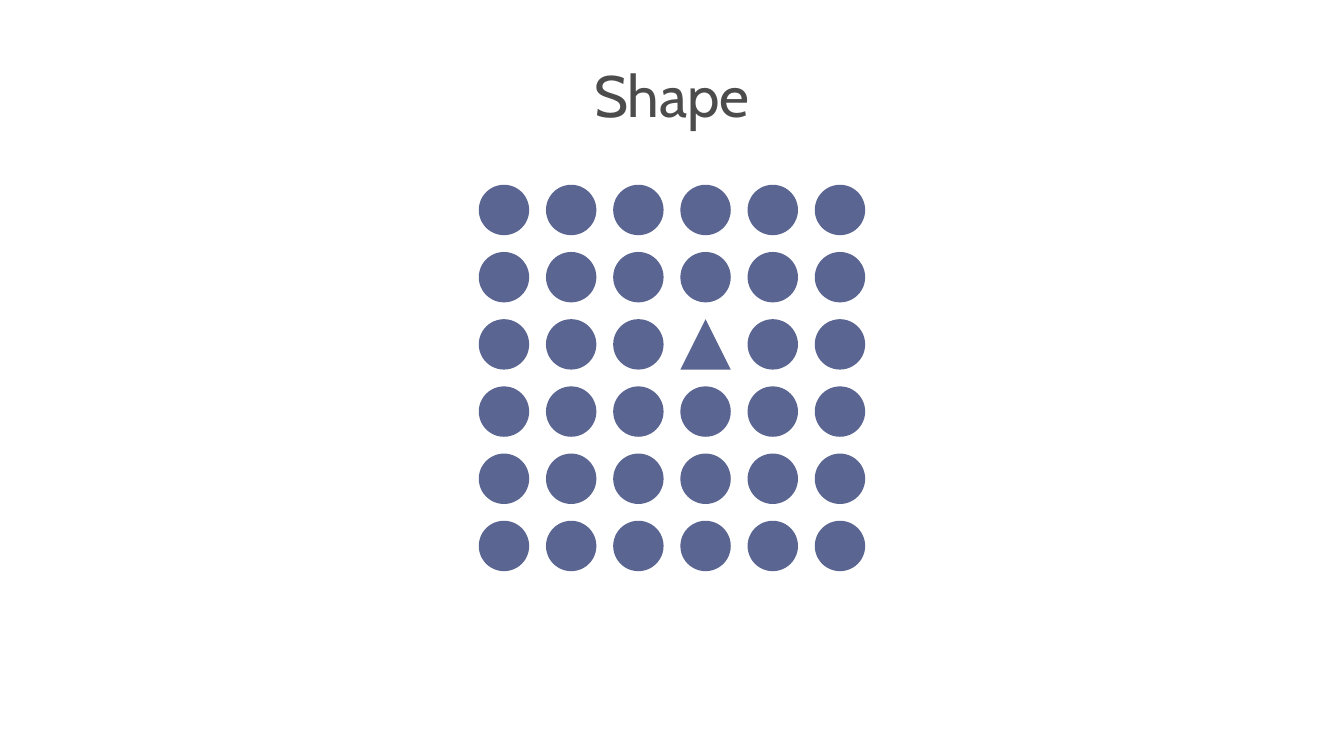
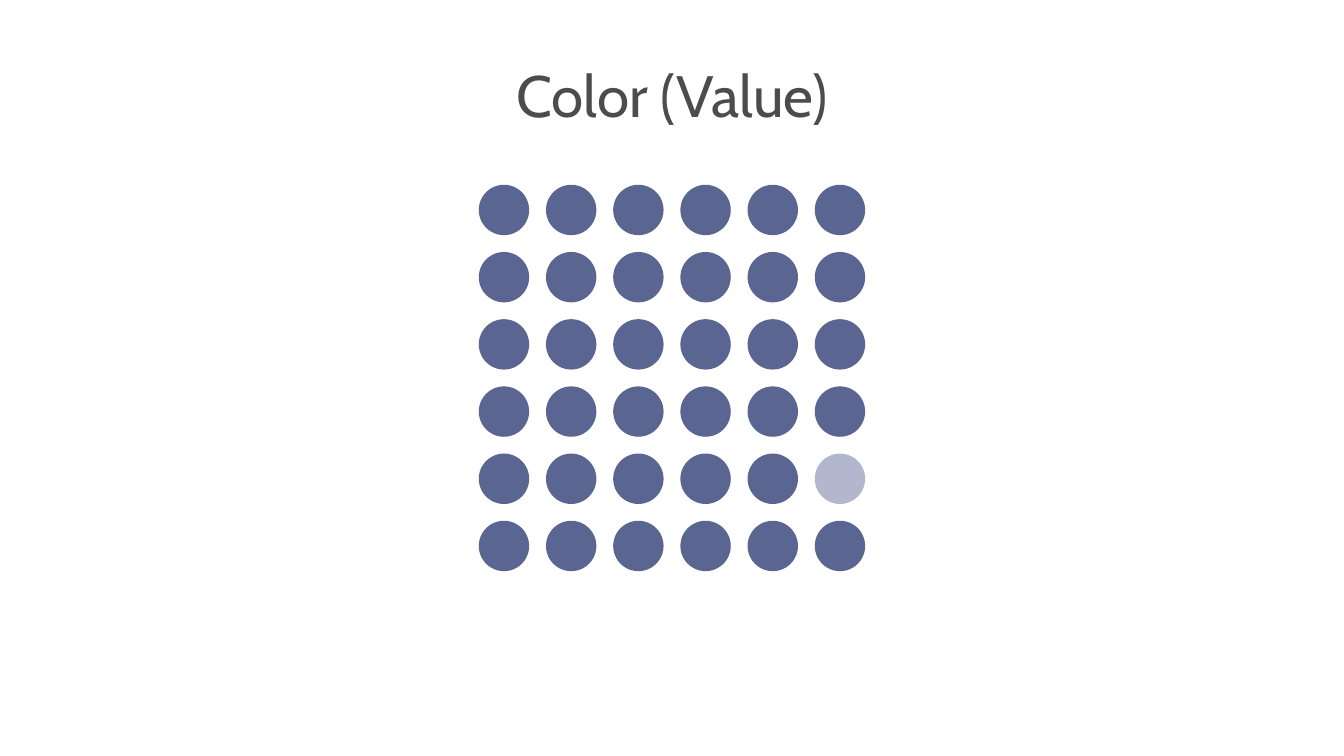
from dataclasses import dataclass
from itertools import product

from pptx import Presentation
from pptx.dml.color import RGBColor as Rgb
from pptx.enum.shapes import MSO_SHAPE as Kind
from pptx.enum.text import MSO_ANCHOR as Anchor, MSO_AUTO_SIZE as Fit, PP_ALIGN as Align
from pptx.util import Inches, Pt


@dataclass(frozen=True)
class Theme:
    """Colours, font and sizes shared by the slides."""
    paper: str = "FFFFFF"
    ink: str = "4C4C4C"
    mark: str = "5B6591"
    pale: str = "B2B7CE"
    font: str = "Cabin"
    title: int = 50
    lead: float = 0.8


LOOK = Theme()
WIDE, HIGH = 16, 9
HEAD = (0, 0.87, WIDE, 0.67)
FIELD = (5.7, 2.2, 4.6, 4.6)
COUNT, GAP = 6, 0.2
SLIDES = [
    ("Shape", (2, 3), Kind.ISOSCELES_TRIANGLE, LOOK.mark),
    ("Color (Value)", (4, 5), Kind.OVAL, LOOK.pale),
]


def add_title(slide, box, text):
    """Place and format the title in its box."""
    title = slide.shapes.title
    title.left, title.top, title.width, title.height = map(Inches, box)
    frame = title.text_frame
    frame.margin_left = frame.margin_right = frame.margin_top = frame.margin_bottom = 0
    frame.word_wrap = True
    frame.auto_size = Fit.SHAPE_TO_FIT_TEXT
    frame.vertical_anchor = Anchor.TOP
    para = frame.paragraphs[0]
    para.alignment = Align.CENTER
    para.line_spacing = LOOK.lead
    run = para.add_run()
    run.text = text
    run.font.name = LOOK.font
    run.font.size = Pt(LOOK.title)
    run.font.color.rgb = Rgb.from_string(LOOK.ink)


def add_field(slide, box, odd, kind, tint):
    """Fill the box with a square grid of dots and one odd mark."""
    left, top, width, height = box
    step_x, step_y = (width + GAP) / COUNT, (height + GAP) / COUNT
    for row, col in product(range(COUNT), repeat=2):
        is_odd = (row, col) == odd
        spot = (left + col * step_x, top + row * step_y, step_x - GAP, step_y - GAP)
        mark = slide.shapes.add_shape(kind if is_odd else Kind.OVAL, *map(Inches, spot))
        mark.shadow.inherit = False
        mark.fill.solid()
        mark.fill.fore_color.rgb = Rgb.from_string(tint if is_odd else LOOK.mark)
        mark.line.fill.background()


def add_slide(deck, text, odd, kind, tint):
    """Add a slide with a title above a field of marks."""
    slide = deck.slides.add_slide(deck.slide_layouts.get_by_name("Title Only"))
    add_title(slide, HEAD, text)
    add_field(slide, FIELD, odd, kind, tint)


def main():
    """Build and save the deck."""
    deck = Presentation()
    deck.slide_width, deck.slide_height = Inches(WIDE), Inches(HIGH)
    back = deck.slide_master.background.fill
    back.solid()
    back.fore_color.rgb = Rgb.from_string(LOOK.paper)
    for item in SLIDES:
        add_slide(deck, *item)
    deck.save("out.pptx")


if __name__ == "__main__":
    main()
